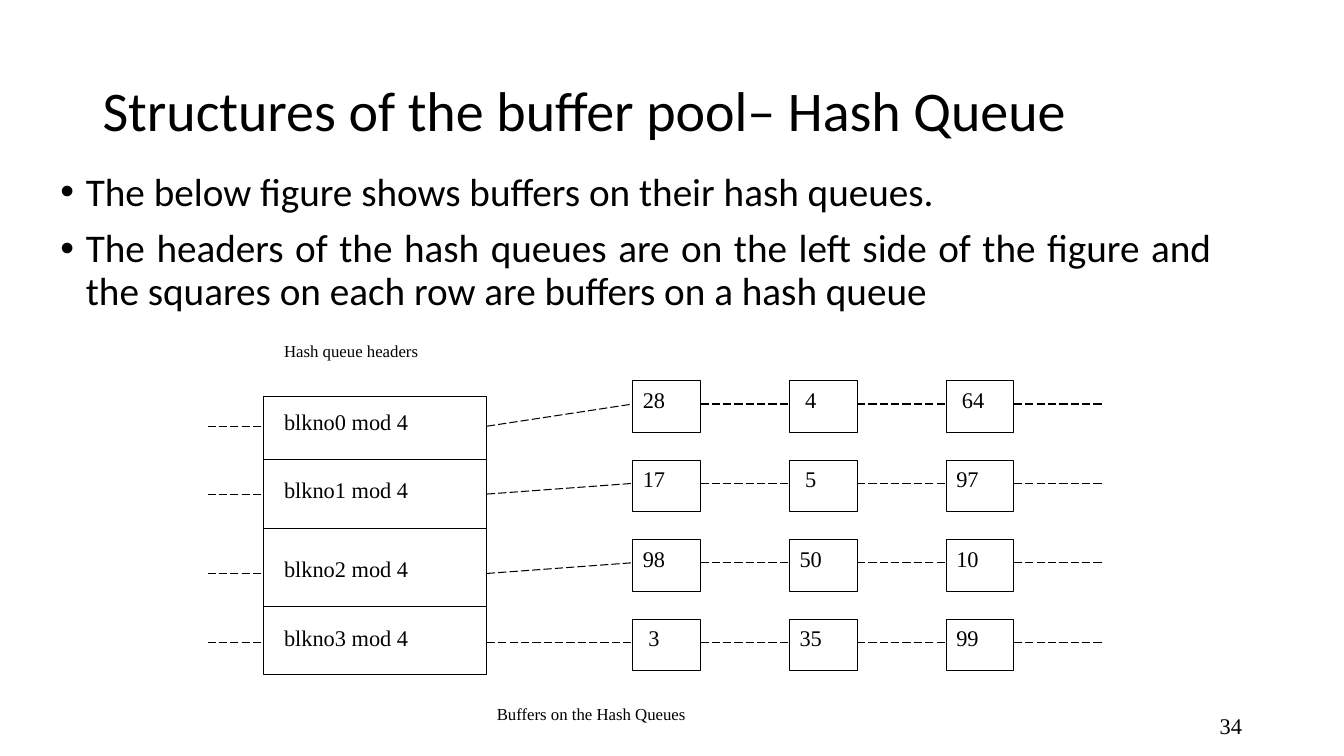
from lxml.etree import SubElement
from pptx import Presentation
from pptx.dml.color import RGBColor
from pptx.enum.dml import MSO_LINE
from pptx.enum.shapes import MSO_CONNECTOR, MSO_SHAPE
from pptx.enum.text import MSO_ANCHOR, MSO_AUTO_SIZE, PP_ALIGN
from pptx.oxml.ns import qn
from pptx.util import Cm, Pt

BLACK = "000000"
SANS = {"name": "Calibri", "bold": False}
SERIF = {"name": "Times New Roman", "size": Pt(16)}
SMALL = {**SERIF, "size": Pt(12)}


def write(frame, lines, style, anchor=MSO_ANCHOR.TOP, **form):
    frame.word_wrap = True
    frame.auto_size = MSO_AUTO_SIZE.NONE
    frame.vertical_anchor = anchor
    frame.text = "\n".join(lines)
    for para in frame.paragraphs:
        for key, value in form.items():
            setattr(para, key, value)
        for run in para.runs:
            run.font.color.rgb = RGBColor.from_string(BLACK)
            for key, value in style.items():
                setattr(run.font, key, value)


def draw(x1, y1, x2, y2, dash=MSO_LINE.LONG_DASH):
    link = slide.shapes.add_connector(
        MSO_CONNECTOR.STRAIGHT, Cm(x1), Cm(y1), Cm(x2), Cm(y2))
    link.line.color.rgb = RGBColor.from_string(BLACK)
    link.line.width = Pt(0.75)
    link.line.dash_style = dash
    SubElement(link._element.spPr, qn("a:effectLst"))


deck = Presentation()
deck.slide_width, deck.slide_height = Cm(33.87), Cm(19.05)
slide = deck.slides.add_slide(deck.slide_layouts[1])

title, body = slide.placeholders
spots = [(title, (2.33, 1.02, 29.21, 3.68)), (body, (1.27, 4.22, 29.51, 7.62))]
for holder, spot in spots:
    holder.left, holder.top, holder.width, holder.height = map(Cm, spot)

write(title.text_frame, ["Structures of the buffer pool– Hash Queue"],
      {**SANS, "size": Pt(40)}, MSO_ANCHOR.MIDDLE,
      alignment=PP_ALIGN.LEFT, line_spacing=0.9)

write(body.text_frame, [
    "The below figure shows buffers on their hash queues.",
    "The headers of the hash queues are on the left side of the figure and "
    "the squares on each row are buffers on a hash queue",
], {**SANS, "size": Pt(28)}, alignment=PP_ALIGN.JUSTIFY, line_spacing=0.9)
for gap, para in zip((0, 10), body.text_frame.paragraphs):
    para.space_before = Pt(gap)
    props = para._p.get_or_add_pPr()
    props.set("marL", str(Cm(0.64)))
    props.set("indent", str(-Cm(0.64)))
    SubElement(props, qn("a:buFont")).set("typeface", "Arial")
    SubElement(props, qn("a:buChar")).set("char", "•")

left, right = 6.63, 12.27
wide, high = 1.7, 1.3
start, pitch = 15.95, 3.95
boxes = [(left, 9.98, right - left, 7.01, "")]
labels = [
    (6.91, 8.46, 5, 1.04, "Hash queue headers", SMALL, PP_ALIGN.LEFT),
    (12.27, 17.6, 6, 1.04, "Buffers on the Hash Queues", SMALL, PP_ALIGN.LEFT),
    (23.93, 17.78, 7.62, 1.02, "34", SERIF, PP_ALIGN.RIGHT),
]

for y in (11.58, 13.31, 15.29):
    draw(left, y, right, y, MSO_LINE.SOLID)

queues = [
    (10.74, ("28", " 4", " 64")),
    (12.45, ("17", " 5", "97")),
    (14.45, ("98", "50", "10")),
    (16.18, (" 3", "35", "99")),
]
for row, (y, blocks) in enumerate(queues):
    top = 9.6 + 2 * row
    mid = top + 0.58
    labels.append((6.91, y - 0.58, 5, 1.27, f"blkno{row} mod 4",
                   SERIF, PP_ALIGN.LEFT))
    draw(5.23, y, left, y)
    draw(right, y, start, mid)
    for col, block in enumerate(blocks):
        x = start + pitch * col
        boxes.append((x, top, wide, high, block))
        draw(x + wide, mid, x + pitch, mid)

for *spot, block in boxes:
    box = slide.shapes.add_shape(MSO_SHAPE.RECTANGLE, *map(Cm, spot))
    box.shadow.inherit = False
    box.fill.background()
    box.line.color.rgb = RGBColor.from_string(BLACK)
    box.line.width = Pt(0.75)
    if block:
        write(box.text_frame, [block], SERIF, alignment=PP_ALIGN.LEFT)

for *spot, words, style, side in labels:
    label = slide.shapes.add_textbox(*map(Cm, spot))
    anchor = MSO_ANCHOR.MIDDLE if side == PP_ALIGN.RIGHT else MSO_ANCHOR.TOP
    write(label.text_frame, [words], style, anchor, alignment=side)

deck.save("out.pptx")
